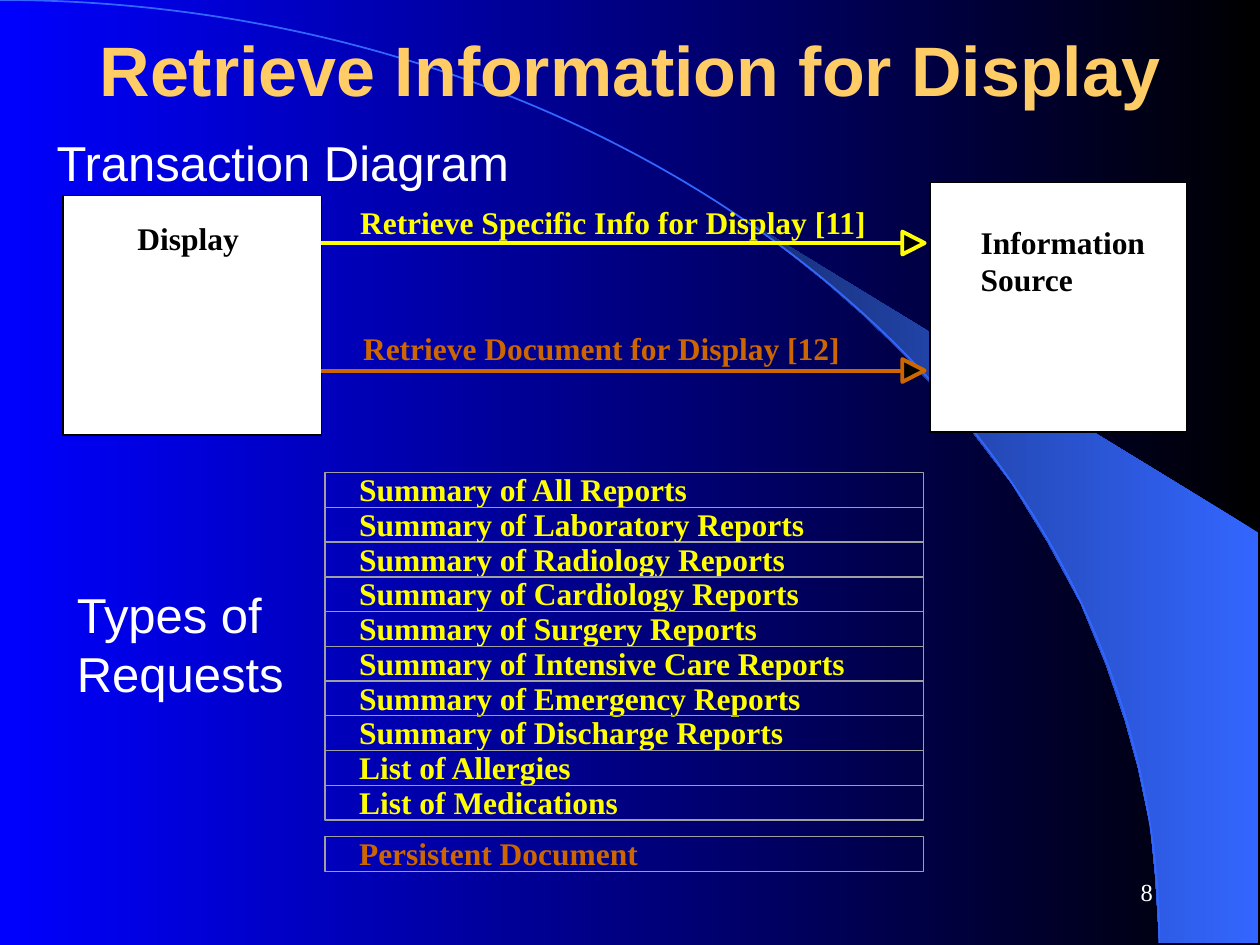
from lxml.etree import SubElement
from pptx import Presentation
from pptx.dml.color import RGBColor
from pptx.enum.shapes import MSO_CONNECTOR, MSO_SHAPE
from pptx.enum.text import MSO_ANCHOR, PP_ALIGN
from pptx.oxml.ns import qn
from pptx.util import Cm, Pt

HEADINGS = [
    ("Transaction Diagram", (0.89, 2.54, 23.62, 1.68)),
    ("Types of\vRequests", (1.3, 11.66, 5.05, 2.74)),
]
TITLE = ("Retrieve Information for Display", (0, 0.36, 25.4, 2.03))
PAGE_NUMBER = ("8", (18.21, 17.35, 5.28, 1.27))
ACTORS = [
    ("Display", (1.27, 3.94, 5.21, 4.83), (1.5, 0.48, 0, 0)),
    ("Information\nSource", (18.75, 3.68, 5.18, 5.03), (1.02, 0.81, 0, 0)),
]
TRANSACTIONS = [
    {
        "label": "Retrieve Specific Info for Display [11]",
        "label_box": (7.26, 4.09, 10.24, 0.76),
        "arrow_y": 4.9,
        "color": "specific",
        "requests_top": 9.53,
        "requests": [
            "Summary of All Reports",
            "Summary of Laboratory Reports",
            "Summary of Radiology Reports",
            "Summary of Cardiology Reports",
            "Summary of Surgery Reports",
            "Summary of Intensive Care Reports",
            "Summary of Emergency Reports",
            "Summary of Discharge Reports",
            "List of Allergies",
            "List of Medications",
        ],
    },
    {
        "label": "Retrieve Document for Display [12]",
        "label_box": (7.32, 6.63, 9.63, 0.76),
        "arrow_y": 7.47,
        "color": "document",
        "requests_top": 16.87,
        "requests": ["Persistent Document"],
    },
]
BAND = [
    (23.37, 19), (25.37, 19.02), (25.37, 10.74), (14.96, 4.39), (15.85, 5.05),
    (16.59, 5.64), (17.4, 6.35), (18.19, 7.11), (19.35, 8.38), (20.4, 9.75),
    (21.13, 10.95), (21.79, 12.17), (22.3, 13.41), (22.68, 14.53),
    (22.94, 15.47), (23.19, 16.66), (23.29, 17.68),
]
ARC_BOX = (-23.37, 0, 46.74, 38.02)
ARROW_START, ARROW_BASE, ARROW_TIP, ARROW_HALF = 6.48, 18.19, 18.64, 0.23
ROW_LEFT, ROW_WIDTH, ROW_HEIGHT = 6.55, 12.07, 0.7
TEXT_INSETS = (0.25, 0.13, 0.25, 0.13)
ROW_INSETS = (0.69, 0.13, 0.25, 0.13)
NO_INSETS = (0, 0, 0, 0)

THEME = {
    "sans": "Arial", "serif": "Times New Roman",
    "title_size": 40, "heading_size": 28, "label_size": 18, "number_size": 14,
    "title": "FFCC66", "light": "FFFFFF", "dark": "000000",
    "specific": "FFFF00", "document": "CC6600", "grid": "A0A0A0",
    "arc": "3366FF", "background": ("000000", "0000FF"),
    "band": ("3366FF", "172F75"),
}


def color(name):
    return RGBColor.from_string(THEME[name])


def paint_gradient(fill, name):
    fill.gradient()
    fill.gradient_angle = 180
    for stop, value in zip(fill.gradient_stops, THEME[name]):
        stop.color.rgb = RGBColor.from_string(value)


def paint_solid(shape, fill_name, line_name, line_width):
    shape.shadow.inherit = False
    if fill_name:
        shape.fill.solid()
        shape.fill.fore_color.rgb = color(fill_name)
    else:
        shape.fill.background()
    shape.line.color.rgb = color(line_name)
    shape.line.width = Pt(line_width)


def write(shape, text, role, color_name, font="serif", bold=True, insets=TEXT_INSETS,
          align=PP_ALIGN.LEFT, anchor=MSO_ANCHOR.TOP, spacing=None, wrap=True):
    frame = shape.text_frame
    frame.text = text
    frame.word_wrap = wrap
    frame.vertical_anchor = anchor
    frame.margin_left, frame.margin_top, frame.margin_right, frame.margin_bottom = map(Cm, insets)
    for paragraph in frame.paragraphs:
        paragraph.alignment = align
        paragraph.line_spacing = spacing
        for run in paragraph.runs:
            run.font.name = THEME[font]
            run.font.size = Pt(THEME[role])
            run.font.bold = bold
            run.font.color.rgb = color(color_name)


def add_text(slide, text, box, *style, **options):
    write(slide.shapes.add_textbox(*map(Cm, box)), text, *style, **options)


def add_box(slide, kind, box, fill_name, line_name, line_width):
    shape = slide.shapes.add_shape(kind, *map(Cm, box))
    paint_solid(shape, fill_name, line_name, line_width)
    return shape


def add_polygon(slide, points):
    first, *rest = [(Cm(x), Cm(y)) for x, y in points]
    builder = slide.shapes.build_freeform(*first)
    builder.add_line_segments(rest, close=True)
    return builder.convert_to_shape()


def add_arrow(slide, y, color_name):
    line = slide.shapes.add_connector(
        MSO_CONNECTOR.STRAIGHT, Cm(ARROW_START), Cm(y), Cm(ARROW_BASE), Cm(y))
    line.line.color.rgb = color(color_name)
    line.line.width = Pt(2.25)
    SubElement(line._element.spPr, qn("a:effectLst"))
    head = add_polygon(slide, [
        (ARROW_BASE, y + ARROW_HALF), (ARROW_TIP, y), (ARROW_BASE, y - ARROW_HALF)])
    paint_solid(head, "dark", color_name, 2.25)


def add_backdrop(slide):
    paint_gradient(slide.background.fill, "background")
    band = add_polygon(slide, BAND)
    band.shadow.inherit = False
    band.line.fill.background()
    paint_gradient(band.fill, "band")
    add_box(slide, MSO_SHAPE.ARC, ARC_BOX, None, "arc", 1)


def add_transaction(slide, transaction):
    color_name = transaction["color"]
    add_text(slide, transaction["label"], transaction["label_box"], "label_size",
             color_name, insets=NO_INSETS, wrap=False)
    add_arrow(slide, transaction["arrow_y"], color_name)
    for index, request in enumerate(transaction["requests"]):
        top = transaction["requests_top"] + index * ROW_HEIGHT
        row = add_box(slide, MSO_SHAPE.RECTANGLE, (ROW_LEFT, top, ROW_WIDTH, ROW_HEIGHT),
                      None, "grid", 0)
        write(row, request, "label_size", color_name, insets=ROW_INSETS, spacing=0.75)


def main():
    """Build the transaction diagram slide and save it."""
    presentation = Presentation()
    presentation.slide_width, presentation.slide_height = Cm(25.4), Cm(19.05)
    slide = presentation.slides.add_slide(presentation.slide_layouts[6])
    add_backdrop(slide)
    add_text(slide, *TITLE, "title_size", "title", font="sans",
             align=PP_ALIGN.CENTER, anchor=MSO_ANCHOR.MIDDLE)
    for text, box in HEADINGS:
        add_text(slide, text, box, "heading_size", "light", font="sans", bold=False)
    for name, box, insets in ACTORS:
        actor = add_box(slide, MSO_SHAPE.RECTANGLE, box, "light", "dark", 0.88)
        write(actor, name, "label_size", "dark", insets=insets)
    for transaction in TRANSACTIONS:
        add_transaction(slide, transaction)
    add_text(slide, *PAGE_NUMBER, "number_size", "light", bold=False,
             align=PP_ALIGN.RIGHT, anchor=MSO_ANCHOR.MIDDLE)
    presentation.save("out.pptx")


if __name__ == "__main__":
    main()
